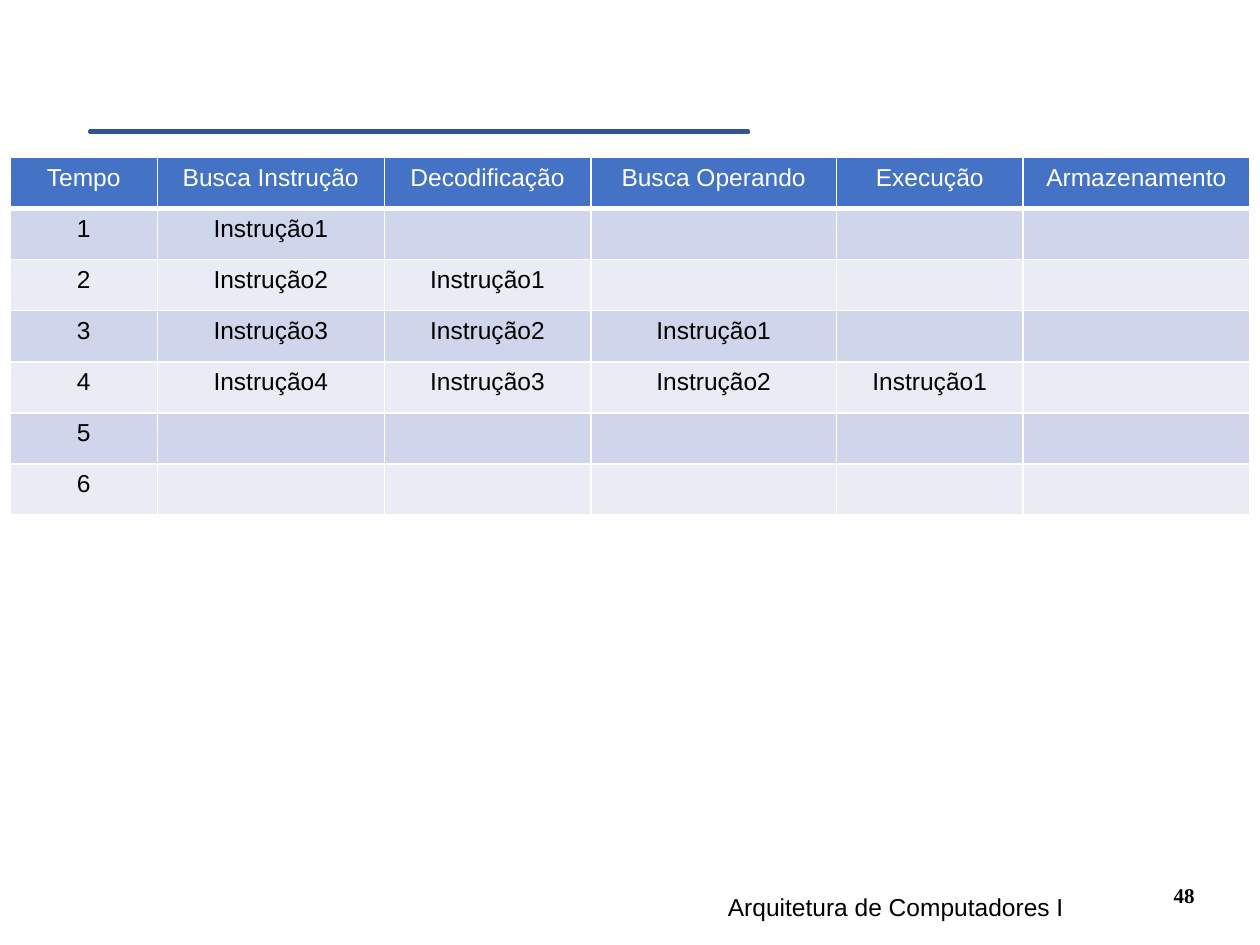
from lxml import etree
from pptx import Presentation, util as u
from pptx.dml.color import RGBColor
from pptx.enum import shapes, text
from pptx.oxml import ns

BLUE = RGBColor(0x44, 0x72, 0xC4)
NAVY = RGBColor(0x32, 0x54, 0x91)
DARK = RGBColor(0xCF, 0xD5, 0xEA)
PALE = RGBColor(0xE9, 0xEB, 0xF5)
WHITE = RGBColor(0xFF, 0xFF, 0xFF)
BLACK = RGBColor(0, 0, 0)
MID, RIGHT = text.PP_ALIGN.CENTER, text.PP_ALIGN.RIGHT


def write(frame, words, size=14, font="Arial", color=BLACK, bold=False, align=MID):
    line = frame.paragraphs[0]
    line.alignment = align
    run = line.add_run()
    run.text = words
    run.font.size = u.Pt(size)
    run.font.name = font
    run.font.bold = bold
    run.font.color.rgb = color


def edge(cell, base):
    """Draw white cell borders, 1 pt wide except for the base."""
    props = cell._tc.get_or_add_tcPr()
    for side, width in zip("LRTB", (1, 1, 1, base)):
        line = etree.SubElement(props, ns.qn("a:ln" + side), w=str(u.Pt(width)))
        fill = etree.SubElement(line, ns.qn("a:solidFill"))
        etree.SubElement(fill, ns.qn("a:srgbClr"), val=str(WHITE))


deck = Presentation()
deck.slide_width, deck.slide_height = u.Inches(10), u.Inches(7.5)
slide = deck.slides.add_slide(deck.slide_layouts[6])

# Pipeline table: each instruction moves one stage on per time step
heads = ["Tempo", "Busca Instrução", "Decodificação", "Busca Operando",
         "Execução", "Armazenamento"]
widths = [1.17, 1.8, 1.64, 1.95, 1.48, 1.8]
steps, filled, tall = 6, 4, 0.405
rows = [heads]
for step in range(1, steps + 1):
    row = [str(step)]
    for stage in range(1, len(heads)):
        num = step - stage + 1
        row.append(f"Instrução{num}" if step <= filled and num > 0 else "")
    rows.append(row)

grid = slide.shapes.add_table(
    len(rows), len(heads), u.Inches(0.08), u.Inches(1.25),
    u.Inches(sum(widths)), u.Inches(tall * len(rows))).table
for col, width in zip(grid.columns, widths):
    col.width = u.Inches(width)
for r, row in enumerate(rows):
    for c, words in enumerate(row):
        cell = grid.cell(r, c)
        edge(cell, base=1 if r else 3)
        cell.fill.solid()
        cell.fill.fore_color.rgb = (DARK if r % 2 else PALE) if r else BLUE
        if words:
            write(cell.text_frame, words, color=BLACK if r else WHITE)

# Page number
page = slide.shapes.add_textbox(
    u.Inches(7), u.Inches(6.75), u.Inches(2.58), u.Inches(0.5)).text_frame
page.word_wrap = True
page.vertical_anchor = text.MSO_ANCHOR.BOTTOM
write(page, "48", size=12, font="Times New Roman", bold=True, align=RIGHT)

# Title rule
rule = slide.shapes.add_shape(
    shapes.MSO_SHAPE.MATH_MINUS, u.Inches(-0.23), u.Inches(1.02),
    u.Inches(7.11), u.Inches(0.05))
rule.shadow.inherit = False
rule.fill.solid()
rule.fill.fore_color.rgb = BLUE
rule.line.color.rgb = NAVY
rule.line.width = u.Pt(2)

# Course name
foot = slide.shapes.add_textbox(
    u.Inches(4.89), u.Inches(7.03), u.Inches(4.44), u.Inches(0.5)).text_frame
foot.word_wrap = True
write(foot, "Arquitetura de Computadores I")

deck.save("out.pptx")
